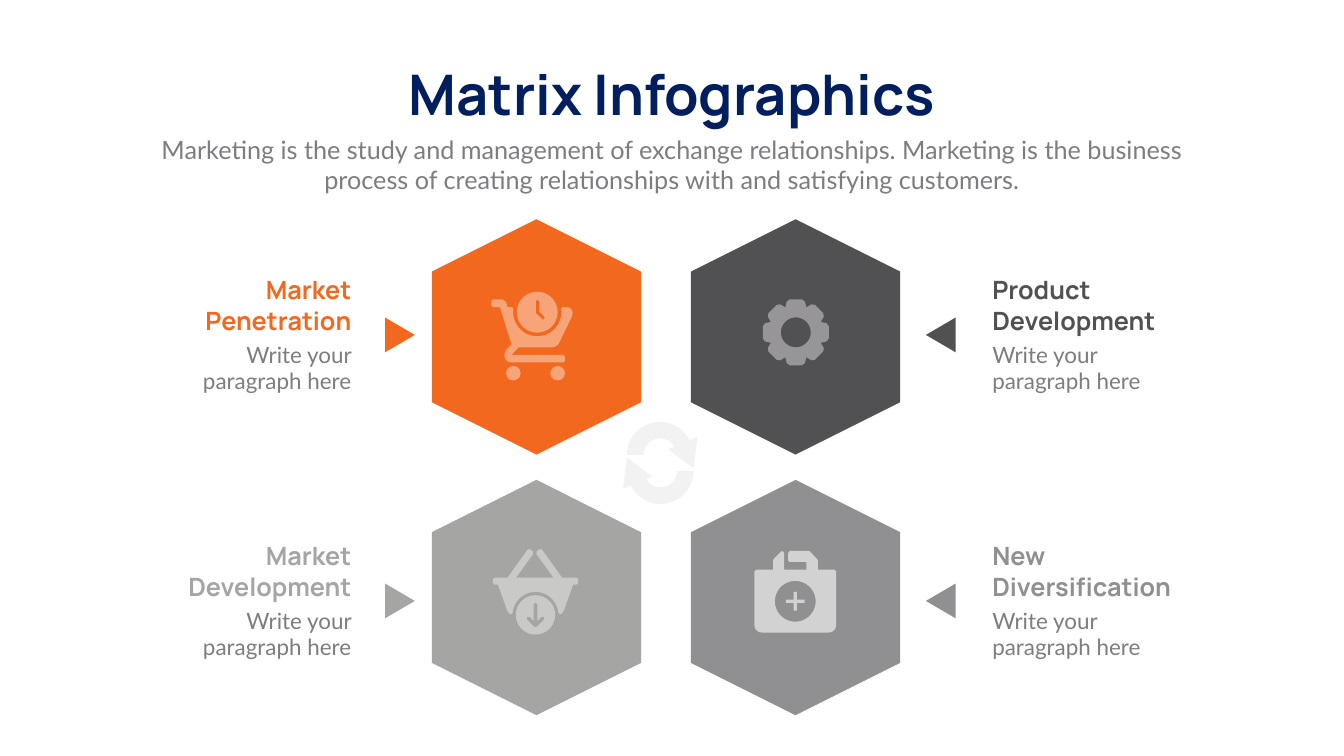
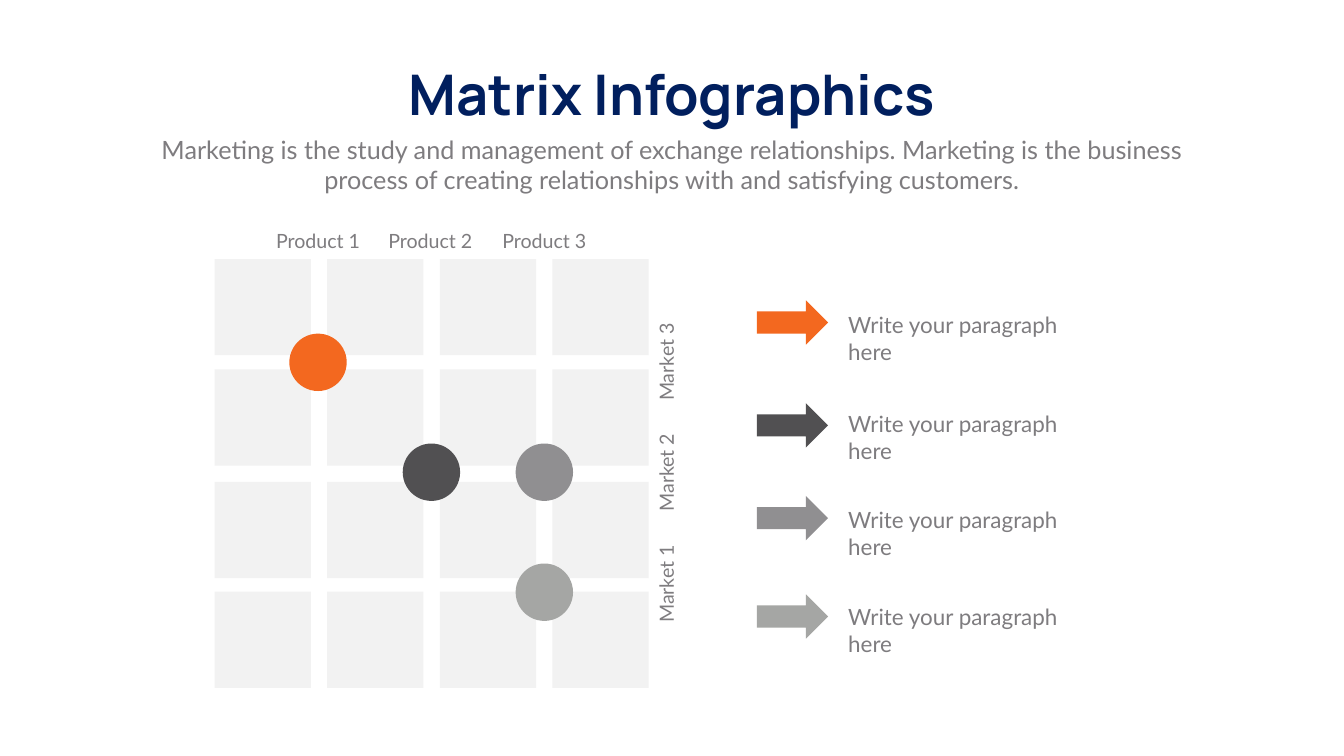
from math import cos, sin, radians
from pptx import Presentation
from pptx.dml.color import RGBColor
from pptx.enum.shapes import MSO_SHAPE
from pptx.enum.text import MSO_AUTO_SIZE, PP_ALIGN
from pptx.util import Pt

NAVY = RGBColor(0x01, 0x1F, 0x5E)
TEXT = RGBColor(0x7E, 0x7C, 0x7F)
ORANGE = RGBColor(0xF3, 0x68, 0x1F)
DARK = RGBColor(0x51, 0x50, 0x52)
GRAY = RGBColor(0x90, 0x8F, 0x91)
SILVER = RGBColor(0xA5, 0xA6, 0xA4)
PALE = RGBColor(0xF2, 0xF2, 0xF2)
PEACH = RGBColor(0xF8, 0xA4, 0x79)
STEEL = RGBColor(0x97, 0x95, 0x98)
ASH = RGBColor(0xC9, 0xCA, 0xC8)
CLOUD = RGBColor(0xD3, 0xD2, 0xD3)
HINT = "Write your paragraph here"


def write(slide, words, x, y, w, h, size=32, font="Lato", color=TEXT,
          bold=False, align=PP_ALIGN.LEFT, wrap=True, turn=0):
    box = slide.shapes.add_textbox(Pt(x), Pt(y), Pt(w), Pt(h))
    box.rotation = turn
    frame = box.text_frame
    frame.word_wrap = wrap
    frame.auto_size = MSO_AUTO_SIZE.SHAPE_TO_FIT_TEXT
    frame.text = words
    for para in frame.paragraphs:
        para.alignment = align
        para.font.size = Pt(size)
        para.font.name = font
        para.font.bold = bold
        para.font.color.rgb = color


def draw(slide, kind, x, y, w, h, color, turn=0):
    shape = slide.shapes.add_shape(kind, Pt(x), Pt(y), Pt(w), Pt(h))
    shape.rotation = turn
    shape.shadow.inherit = False
    shape.fill.solid()
    shape.fill.fore_color.rgb = color
    shape.line.fill.background()
    return shape


deck = Presentation()
deck.slide_width, deck.slide_height = Pt(1920), Pt(1080)

# Slides with the shared title and lead
slides = []
for _ in range(2):
    slide = deck.slides.add_slide(deck.slide_layouts[6])
    write(slide, "Matrix Infographics", 545, 82, 830, 104.4, size=80,
          font="Manrope", color=NAVY, bold=True, align=PP_ALIGN.CENTER,
          wrap=False)
    write(slide, "Marketing is the study and management of exchange "
          "relationships. Marketing is the business process of creating "
          "relationships with and satisfying customers.",
          210.2, 188, 1499, 94.3, size=36, align=PP_ALIGN.CENTER)
    slides.append(slide)
first, second = slides

# Slide 1: hexagons with headings and pointers
quads = [
    (0, 0, "Market Penetration", 235, ORANGE),
    (1, 0, "Product\nDevelopment", 271, DARK),
    (0, 1, "Market Development", 274, SILVER),
    (1, 1, "New Diversification", 299, GRAY),
]
for col, row, head, wide, color in quads:
    drop = row * 380
    draw(first, MSO_SHAPE.HEXAGON, 598.3 + col * 370.1, 331.9 + row * 372.3,
         336.2, 298.8, color, turn=270)
    draw(first, MSO_SHAPE.ISOSCELES_TRIANGLE, 546.5 + col * 772.6,
         457.2 + drop, 49.7, 42.5, color, turn=270 if col else 90)
    align = PP_ALIGN.LEFT if col else PP_ALIGN.RIGHT
    left = 1410.5 if col else 509
    write(first, head, left if col else left - wide, 388.8 + drop, wide, 94.3,
          size=36, font="Manrope", color=color, bold=True, align=align)
    write(first, HINT, left if col else left - 298.8, 483.1 + drop,
          298.8, 85, align=align)

# Cycle sign in the centre
draw(first, MSO_SHAPE.BLOCK_ARC, 895.7, 602.6, 94.3, 94.3, PALE)
draw(first, MSO_SHAPE.ISOSCELES_TRIANGLE, 960.5, 631.4, 45.4, 38.9, PALE, 157)
draw(first, MSO_SHAPE.BLOCK_ARC, 896.4, 625.7, 94.3, 94.3, PALE, 180)
draw(first, MSO_SHAPE.ISOSCELES_TRIANGLE, 880.6, 652.3, 45.4, 38.9, PALE, 337)

# Icon outlines: pairs are points, fives are arcs (x, y, radius, from, to)
cart = [(107.3, 21.6), (102, 21.6), (65.5, 29, 34.4, -8, 188), (29.5, 21.6),
        (23, 21.6), (20.9, 14.4), (15.8, 10.8), (2.2, 10.8), (0, 13),
        (0, 19.4), (2.2, 21.6), (12.2, 21.6), (28.8, 74.9), (20.9, 82.8),
        (28.8, 90.7, 10.1, 200, 90), (103, 100.8), (105, 98.6), (105, 92.2),
        (103, 90), (28.8, 90), (38.9, 79.2), (87, 79.2), (93, 77.5),
        (96.5, 73.4), (115.2, 34.6), (107.3, 30.2, 8.6, 10, -90)]
clock = [(65.5, 29, 29.2, 0, 360)]
hands = [(63.4, 13.7), (65.5, 10.8), (68.4, 13.7), (68.4, 28), (75.6, 35.3),
         (76, 38), (73.4, 39.6), (64, 31), (63.4, 29.5)]
basket = [(119.5, 41), (98.6, 41), (69.8, 0.7), (66.2, 0.7), (62.6, 3.6),
          (61.9, 7.2), (86.4, 41), (33.1, 41), (57.6, 7.2), (56.9, 3.6),
          (53.3, 0.7), (49.7, 0.7), (20.9, 41), (2.2, 41), (0, 43.2),
          (0, 48.9), (2.2, 51.1), (7.2, 51.1), (20.2, 87.8), (23.8, 92.9),
          (26.6, 93), (60.8, 94.3, 32.8, 185, 355), (95, 93), (97.9, 92.9),
          (101.5, 87.8), (114.5, 51.1), (119.5, 51.1), (121.7, 48.9),
          (121.7, 43.2)]
disc = [(60.8, 94.3, 28.1, 0, 360)]
arrow = [(73, 101), (63, 111), (60.8, 111.6), (58.5, 111), (48.5, 101),
         (48.5, 97.2), (52.5, 97.2), (58.3, 103), (58.3, 79), (60.8, 76.3),
         (63.4, 79), (63.4, 103), (69.1, 97.2), (73, 97.2)]
bag = [(114.5, 26.6), (90.7, 26.6), (90.7, 13.7), (89.3, 11.5), (79.2, 0.7),
       (77, 0), (50.4, 0), (48.2, 2.9), (48.2, 13.7), (50.4, 15.8),
       (74.2, 15.8), (74.2, 26.6), (42.5, 26.6), (42.5, 2.9), (41, 0.7),
       (38.2, 0.7), (27.4, 11.5), (26.6, 13.7), (26.6, 26.6), (2.9, 26.6),
       (0, 29.5), (10.6, 106, 10.6, 180, 90), (106, 106, 10.6, 90, 0),
       (116.6, 29.5)]

# The gear is one quarter turned four times
part = [(8.6, -47.2), (13, -43.9), (15, -35.6), (22.3, -40), (27.4, -39.2),
        (39.2, -27.4), (40, -22.3), (35.6, -15), (43.9, -13), (47.2, -8.6)]
gear = []
for _ in range(4):
    gear += part
    part = [(-y, x) for x, y in part]

icons = [
    (702, 417, PEACH, [cart]),
    (702, 417, PEACH, [clock, hands]),
    (1136.9, 474.8, STEEL, [gear, [(0, 0, 21.4, 0, 360)]]),
    (704.2, 784.1, ASH, [basket]),
    (704.2, 784.1, ASH, [disc, arrow]),
    (1077.8, 787, CLOUD, [bag, [(58.3, 72, 29.2, 0, 360)]]),
]
for left, top, color, rings in icons:
    pen = None
    for ring in rings:
        dots = []
        for item in ring:
            if len(item) == 2:
                dots.append((Pt(item[0]), Pt(item[1])))
                continue
            x, y, size, start, end = item
            for step in range(37):
                turn = radians(start + (end - start) * step / 36)
                dots.append((Pt(x + size * cos(turn)),
                             Pt(y + size * sin(turn))))
        if pen is None:
            pen = first.shapes.build_freeform(*dots[0])
        else:
            pen.move_to(*dots[0])
        pen.add_line_segments(dots[1:], close=True)
    icon = pen.convert_to_shape(Pt(left), Pt(top))
    icon.shadow.inherit = False
    icon.fill.solid()
    icon.fill.fore_color.rgb = color
    icon.line.fill.background()

# Cart wheels and the plus on the bag
for x in (722.9, 786.2):
    draw(first, MSO_SHAPE.OVAL, x, 522.7, 20.9, 20.9, PEACH)
plus = draw(first, MSO_SHAPE.CROSS, 1122.8, 845.7, 26.6, 26.6, CLOUD)
plus.adjustments[0] = 0.41

# Slide 2: grid of squares
for y in (370, 527.8, 688.3, 845.3):
    for col in range(4):
        draw(second, MSO_SHAPE.RECTANGLE, 306.7 + col * 160.8, y,
             137.5, 137.5, PALE)

# Axis labels
for num, x in enumerate((353.5, 514, 676.8), 1):
    write(second, f"Product {num}", x, 324, 201.6, 41, size=28,
          align=PP_ALIGN.CENTER)
for num, y in ((3, 496.8), (2, 654.5), (1, 813.6)):
    write(second, f"Market {num}", 851, y, 201.6, 41, size=28,
          align=PP_ALIGN.CENTER, turn=270)

# Dots on the grid and their legend
marks = [
    (ORANGE, 413.3, 476.6, 429, 441.4),
    (DARK, 575.3, 633.6, 576, 581.8),
    (GRAY, 736.6, 633.6, 708.5, 719.3),
    (SILVER, 736.6, 805, 849, 858.2),
]
for color, x, y, level, base in marks:
    draw(second, MSO_SHAPE.OVAL, x, y, 82, 82, color)
    draw(second, MSO_SHAPE.RIGHT_ARROW, 1081.4, level, 101.5, 63.4, color)
    write(second, HINT, 1204.6, base, 381, 46)

deck.save("out.pptx")
